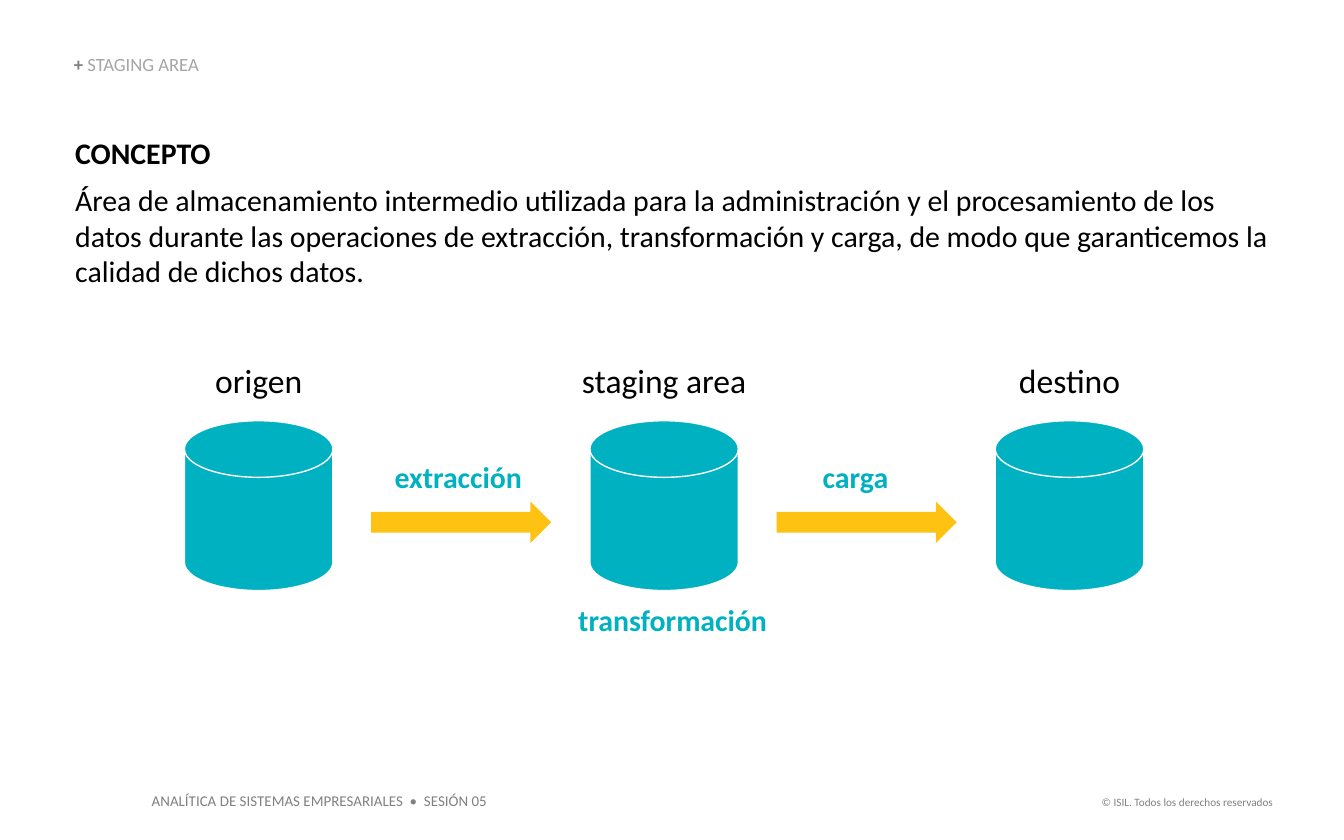
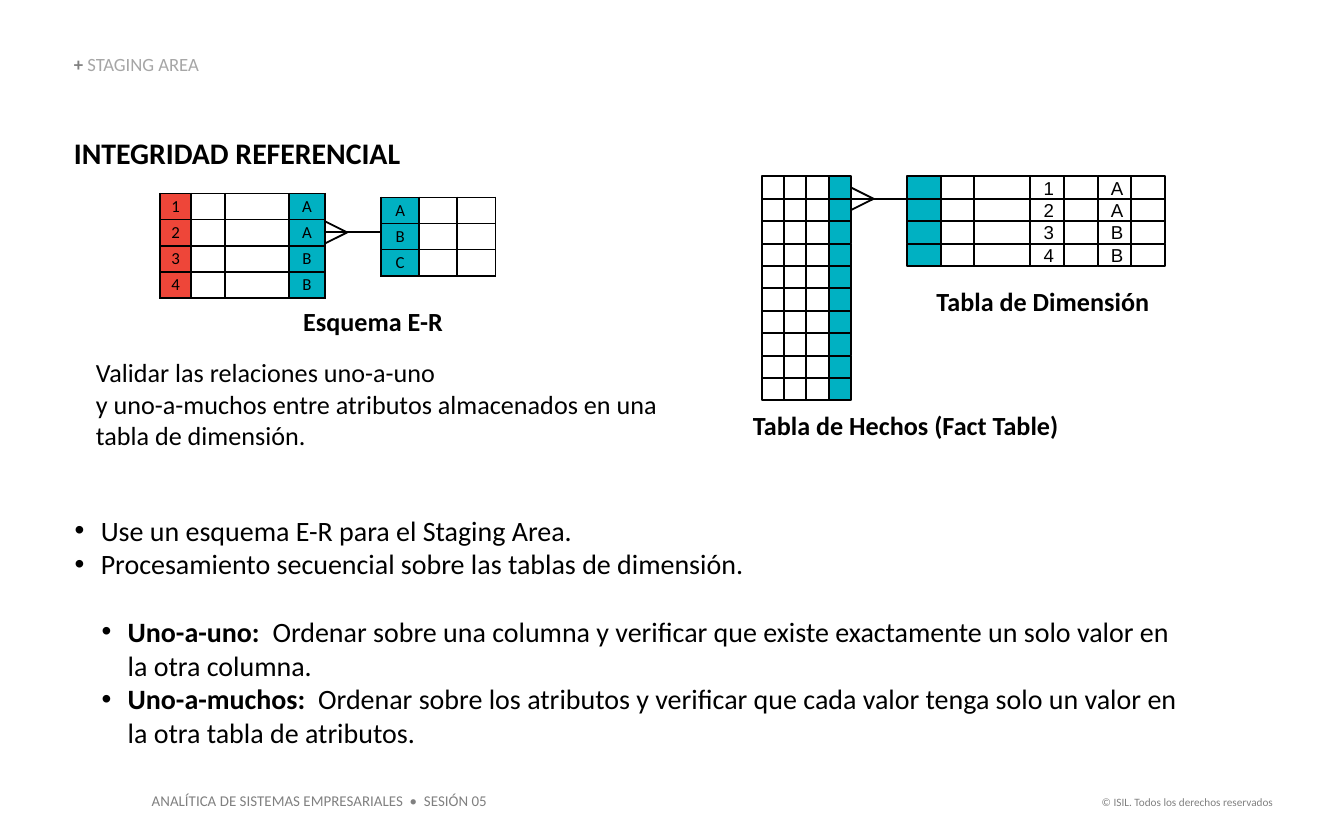
"""Build two slides on the staging area and referential integrity."""
from lxml.etree import SubElement
from pptx import Presentation
from pptx.dml.color import RGBColor
from pptx.enum.shapes import MSO_CONNECTOR, MSO_SHAPE
from pptx.enum.text import MSO_ANCHOR, MSO_AUTO_SIZE, PP_ALIGN
from pptx.oxml.ns import qn
from pptx.util import Pt

HUES = {"black": "000000", "white": "FFFFFF", "teal": "00B1C2", "gold": "FDC212",
        "red": "EE4639", "gray": "808080", "pale": "A6A6A6"}
LEFT, MID, RIGHT = PP_ALIGN.LEFT, PP_ALIGN.CENTER, PP_ALIGN.RIGHT
PAD = (7.2, 3.6)
TITLE = [("+ ", True, "gray"), ("STAGING AREA", False, "pale")]
FEET = [
    ("ANALÍTICA DE SISTEMAS EMPRESARIALES  •  SESIÓN 05", (74.2, 420.5, 194.4, 17.3), 8, LEFT),
    ("© ISIL. Todos los derechos reservados", (581, 422.6, 108, 14.4), 6, RIGHT),
]

HEAD = "CONCEPTO"
BODY = ("Área de almacenamiento intermedio utilizada para la administración y el "
        "procesamiento de los datos durante las operaciones de extracción, "
        "transformación y carga, de modo que garanticemos la calidad de dichos datos.")
STORES = [("origen", 62), ("staging area", 104), ("destino", 70)]
STEPS = [("extracción", 203.8, 242, 83.5), ("carga", 418.3, 242, 80),
         ("transformación", 301.7, 319, 117.4)]

THEME = "INTEGRIDAD REFERENCIAL"
NOTE = ["Validar las relaciones uno-a-uno",
        "y uno-a-muchos entre atributos almacenados en una tabla de dimensión."]
NAMES = [("Tabla de Hechos (Fact Table)", (391.7, 218.9, 187.2, 17.3)),
         ("Tabla de Dimensión", (494.6, 152.6, 128.2, 17.3)),
         ("Esquema E-R", (153.4, 163.4, 92.9, 17.3))]
POINTS = [
    (1, 0, [("Use un esquema E-R para el Staging Area.", False)]),
    (1, 0, [("Procesamiento secuencial sobre las tablas de dimensión.", False)]),
    (2, 18.3, [("Uno-a-uno:  ", True),
               ("Ordenar sobre una columna y verificar que existe exactamente "
                "un solo valor en la otra columna.", False)]),
    (2, 0, [("Uno-a-muchos:  ", True),
            ("Ordenar sobre los atributos y verificar que cada valor tenga "
             "solo un valor en la otra tabla de atributos.", False)]),
]
KEYS = ["1", "2", "3", "4"]
TYPES = ["A", "A", "B", "B"]
TABLES = [
    ((85.7, 103.7), [16.8, 18, 34.3, 19.4],
     [[key, "", "", kind] for key, kind in zip(KEYS, TYPES)], {0: "red", 3: "teal"}),
    ((204.2, 105.8), [20.4] * 3, [[key, "", ""] for key in "ABC"], {0: "teal"}),
]
GRIDS = [
    ((408, 94.5), [12] * 4, [[""] * 4] * 10, 3),
    ((486, 94.5), [18, 18, 30, 18, 18, 18, 18],
     [["", "", "", key, "", kind, ""] for key, kind in zip(KEYS, TYPES)], 0),
]
FORKS = [(174, 124.5), (456, 106.5)]


def tint(name):
    return RGBColor.from_string(HUES[name])


def put(par, text, size, bold=False, hue="black", font="Calibri"):
    run = par.add_run()
    run.text = text
    face = run.font
    face.name, face.size, face.bold = font, Pt(size), bold
    face.color.rgb = tint(hue)


def frame(shape, pad=(0, 0), anchor=MSO_ANCHOR.TOP, wrap=True):
    box = shape.text_frame
    box.auto_size = MSO_AUTO_SIZE.NONE
    box.word_wrap, box.vertical_anchor = wrap, anchor
    box.margin_left = box.margin_right = Pt(pad[0])
    box.margin_top = box.margin_bottom = Pt(pad[1])
    return box


def write(slide, area, lines, size, bold=False, hue="black", align=LEFT, **opts):
    box = frame(slide.shapes.add_textbox(*map(Pt, area)), **opts)
    for num, line in enumerate(lines):
        par = box.add_paragraph() if num else box.paragraphs[0]
        par.alignment = align
        put(par, line, size, bold, hue)
    return box


def draw(slide, kind, area, fill=None, line=None, width=1):
    shape = slide.shapes.add_shape(kind, *map(Pt, area))
    shape.shadow.inherit = False
    if fill:
        shape.fill.solid()
        shape.fill.fore_color.rgb = tint(fill)
    else:
        shape.fill.background()
    if line:
        shape.line.color.rgb = tint(line)
        shape.line.width = Pt(width)
    else:
        shape.line.fill.background()
    return shape


def link(slide, *ends):
    line = slide.shapes.add_connector(MSO_CONNECTOR.STRAIGHT, *map(Pt, ends))
    line.line.color.rgb = tint("black")
    line.line.width = Pt(1)
    SubElement(line._element.spPr, qn("a:effectLst"))


def fork(slide, left, mid):
    link(slide, left, mid, left + 30, mid)
    for rise in (-6, 6):
        link(slide, left, mid + rise, left + 12, mid)


def start(deck):
    slide = deck.slides.add_slide(deck.slide_layouts[5])
    title = slide.shapes.title
    title.left, title.top, title.width, title.height = map(Pt, (39.6, 29.5, 191.5, 10.8))
    par = frame(title, anchor=MSO_ANCHOR.BOTTOM).paragraphs[0]
    par.alignment, par.line_spacing = LEFT, 0.9
    for text, bold, hue in TITLE:
        put(par, text, 10, bold, hue)
    for text, area, size, align in FEET:
        write(slide, area, [text], size, hue="gray", align=align, pad=PAD, wrap=False)
    return slide


def border(cell):
    props = cell._tc.get_or_add_tcPr()
    for side in ("lnL", "lnR", "lnT", "lnB"):
        edge = SubElement(props, qn("a:" + side), w=str(Pt(1)))
        fill = SubElement(edge, qn("a:solidFill"))
        SubElement(fill, qn("a:srgbClr"), val=HUES["black"])


def table(slide, spot, cols, rows, fills, high=14):
    area = (*spot, sum(cols), high * len(rows))
    grid = slide.shapes.add_table(len(rows), len(cols), *map(Pt, area)).table
    grid.first_row = grid.horz_banding = False
    for col, wide in zip(grid.columns, cols):
        col.width = Pt(wide)
    for r, row in enumerate(rows):
        grid.rows[r].height = Pt(high)
        for c, text in enumerate(row):
            cell = grid.cell(r, c)
            border(cell)
            cell.fill.solid()
            cell.fill.fore_color.rgb = tint(fills.get(c, "white"))
            cell.vertical_anchor = MSO_ANCHOR.MIDDLE
            cell.margin_left = cell.margin_right = Pt(2.8)
            cell.margin_top = cell.margin_bottom = Pt(1.4)
            par = cell.text_frame.paragraphs[0]
            par.alignment = MID
            if text:
                put(par, text, 9)
            else:
                SubElement(par._p, qn("a:endParaRPr"), sz="900")


def boxes(slide, spot, cols, rows, key, high=12):
    left, top = spot
    for r, row in enumerate(rows):
        for c, text in enumerate(row):
            area = (left + sum(cols[:c]), top + r * high, cols[c], high)
            cell = draw(slide, MSO_SHAPE.RECTANGLE, area, "teal" if c == key else None, "black")
            if text:
                par = frame(cell, PAD, MSO_ANCHOR.MIDDLE).paragraphs[0]
                par.alignment = MID
                put(par, text, 10, font="Arial")


def points(slide):
    box = frame(slide.shapes.add_textbox(*map(Pt, (39.6, 275, 598.3, 136.8))))
    for num, (level, gap, runs) in enumerate(POINTS):
        par = box.add_paragraph() if num else box.paragraphs[0]
        par.level = level
        if gap:
            par.space_before = Pt(gap)
        props = par._p.get_or_add_pPr()
        props.set("marL", str(Pt(14.4 * level)))
        props.set("indent", str(Pt(-14)))
        dot = SubElement(props, qn("a:buClr"))
        SubElement(dot, qn("a:srgbClr"), val=HUES["black"])
        SubElement(props, qn("a:buFont"), typeface="Arial")
        SubElement(props, qn("a:buChar"), char="•")
        for text, bold in runs:
            put(par, text, 15, bold)


def concept(deck):
    slide = start(deck)
    box = write(slide, (40.3, 72, 640.1, 83.5), [HEAD, BODY], 16)
    first = box.paragraphs[0]
    first.space_after = Pt(6)
    first.runs[0].font.bold = True
    for num, (name, wide) in enumerate(STORES):
        left = 98.8 + 217.2 * num
        draw(slide, MSO_SHAPE.FLOWCHART_MAGNETIC_DISK, (left, 225.4, 79.6, 91),
             "teal", "white", 0.75)
        write(slide, (left + (79.6 - wide) / 2, 189.4, wide, 28.8), [name], 18,
              align=MID, pad=PAD)
        if num < len(STORES) - 1:
            draw(slide, MSO_SHAPE.RIGHT_ARROW, (left + 100, 268.6, 96.5, 22.3), "gold")
    for name, left, top, wide in STEPS:
        write(slide, (left, top, wide, 26.6), [name], 16, True, "teal", MID, pad=PAD)


def rules(deck):
    slide = start(deck)
    write(slide, (39.6, 72, 191.5, 19.4), [THEME], 16, True)
    for spot in FORKS:
        fork(slide, *spot)
    for grid in GRIDS:
        boxes(slide, *grid)
    for grid in TABLES:
        table(slide, *grid)
    write(slide, (51.4, 190.8, 329.8, 51.1), NOTE, 14, anchor=MSO_ANCHOR.MIDDLE)
    for name, area in NAMES:
        write(slide, area, [name], 14, True, align=MID, anchor=MSO_ANCHOR.MIDDLE)
    points(slide)


def main():
    deck = Presentation()
    deck.slide_width, deck.slide_height = Pt(720), Pt(450)
    concept(deck)
    rules(deck)
    deck.save("out.pptx")


if __name__ == "__main__":
    main()
